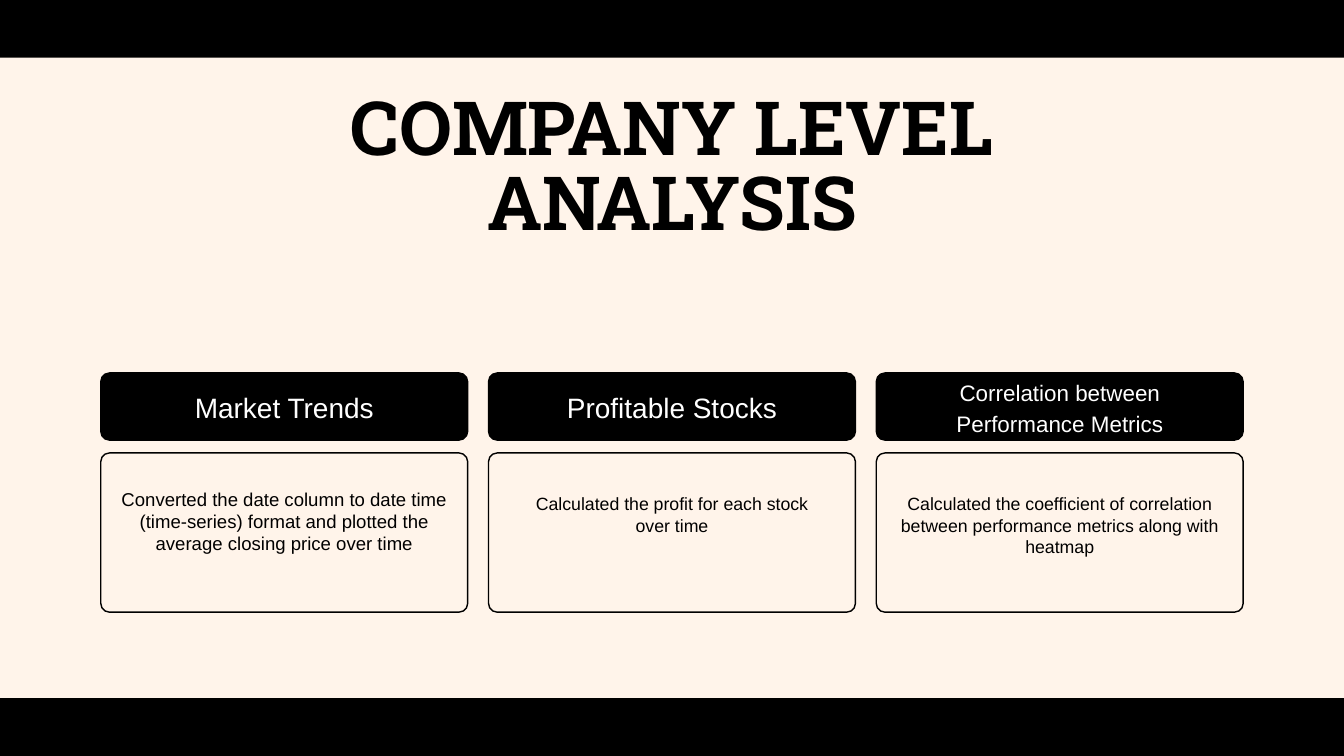
from pptx import Presentation
from pptx.dml.color import RGBColor
from pptx.enum.shapes import MSO_SHAPE
from pptx.enum.text import PP_ALIGN
from pptx.util import Inches, Pt

BLACK, WHITE, CREAM = "000000", "FFFFFF", "FFF4EA"
PAGE_WIDTH, PAGE_HEIGHT, BAR_HEIGHT = 20, 11.25, 0.86
CARD_LEFT, CARD_TOP, CARD_WIDTH, CARD_PITCH = 1.5, 5.55, 5.46, 5.77
HEADER_HEIGHT, BODY_OFFSET, BODY_HEIGHT = 1, 1.19, 2.37
CORNER_RADIUS = 0.13

# Each part: text, size, line spacing, width of text, offset from card top
CARDS = [
    (("Market Trends", 30, 42, 4.58, 0.18),
     ("Converted the date column to date time (time-series) format and plotted "
      "the average closing price over time", 19.9, 23.8, 4.88, 1.71)),
    (("Profitable Stocks", 30, 42, 4.58, 0.18),
     ("Calculated the profit for each stock over time", 19, 22.8, 4.58, 1.79)),
    (("Correlation between Performance Metrics", 24, 33.6, 4.58, 0.02),
     ("Calculated the coefficient of correlation between performance metrics "
      "along with heatmap", 19, 22.8, 4.87, 1.79)),
]


def color(value):
    return RGBColor.from_string(value)


def add_panel(page, kind, left, top, width, height, fill=None, outlined=False):
    panel = page.shapes.add_shape(
        kind, Inches(left), Inches(top), Inches(width), Inches(height))
    panel.shadow.inherit = False
    if fill:
        panel.fill.solid()
        panel.fill.fore_color.rgb = color(fill)
    else:
        panel.fill.background()
    if outlined:
        panel.line.color.rgb = color(BLACK)
        panel.line.width = Pt(1.5)
    else:
        panel.line.fill.background()
    if kind == MSO_SHAPE.ROUNDED_RECTANGLE:
        panel.adjustments[0] = CORNER_RADIUS / min(width, height)


def add_text(page, left, top, width, height, text, size, spacing,
             ink=BLACK, font="Arial", bold=False):
    box = page.shapes.add_textbox(
        Inches(left), Inches(top), Inches(width), Inches(height))
    frame = box.text_frame
    frame.word_wrap = True
    frame.margin_left = frame.margin_right = 0
    frame.margin_top = frame.margin_bottom = 0
    para = frame.paragraphs[0]
    para.text = text
    para.alignment = PP_ALIGN.CENTER
    para.line_spacing = Pt(spacing)
    para.font.name = font
    para.font.size = Pt(size)
    para.font.bold = bold
    para.font.color.rgb = color(ink)


def add_card(page, left, top, width, header, body):
    rounded = MSO_SHAPE.ROUNDED_RECTANGLE
    add_panel(page, rounded, left, top, width, HEADER_HEIGHT, BLACK, True)
    add_panel(page, rounded, left, top + BODY_OFFSET, width, BODY_HEIGHT,
              outlined=True)
    for part, ink, height in ((header, WHITE, 0.9), (body, BLACK, 1.32)):
        text, size, spacing, text_width, offset = part
        add_text(page, left + (width - text_width) / 2, top + offset,
                 text_width, height, text, size, spacing, ink)


def add_bars(page):
    for top in (0, PAGE_HEIGHT - BAR_HEIGHT):
        add_panel(page, MSO_SHAPE.RECTANGLE, 0, top, PAGE_WIDTH, BAR_HEIGHT, BLACK)


def main():
    deck = Presentation()
    deck.slide_width = Inches(PAGE_WIDTH)
    deck.slide_height = Inches(PAGE_HEIGHT)
    page = deck.slides.add_slide(deck.slide_layouts[6])
    page.background.fill.solid()
    page.background.fill.fore_color.rgb = color(CREAM)

    # Title
    add_text(page, 3.11, 1.43, 13.79, 2.52, "COMPANY LEVEL ANALYSIS",
             80, 80, font="Roboto Slab", bold=True)

    # Three cards in a row
    for index, (header, body) in enumerate(CARDS):
        add_card(page, CARD_LEFT + index * CARD_PITCH, CARD_TOP, CARD_WIDTH,
                 header, body)

    # Bars at the top and bottom edges
    add_bars(page)
    deck.save("out.pptx")


if __name__ == "__main__":
    main()
